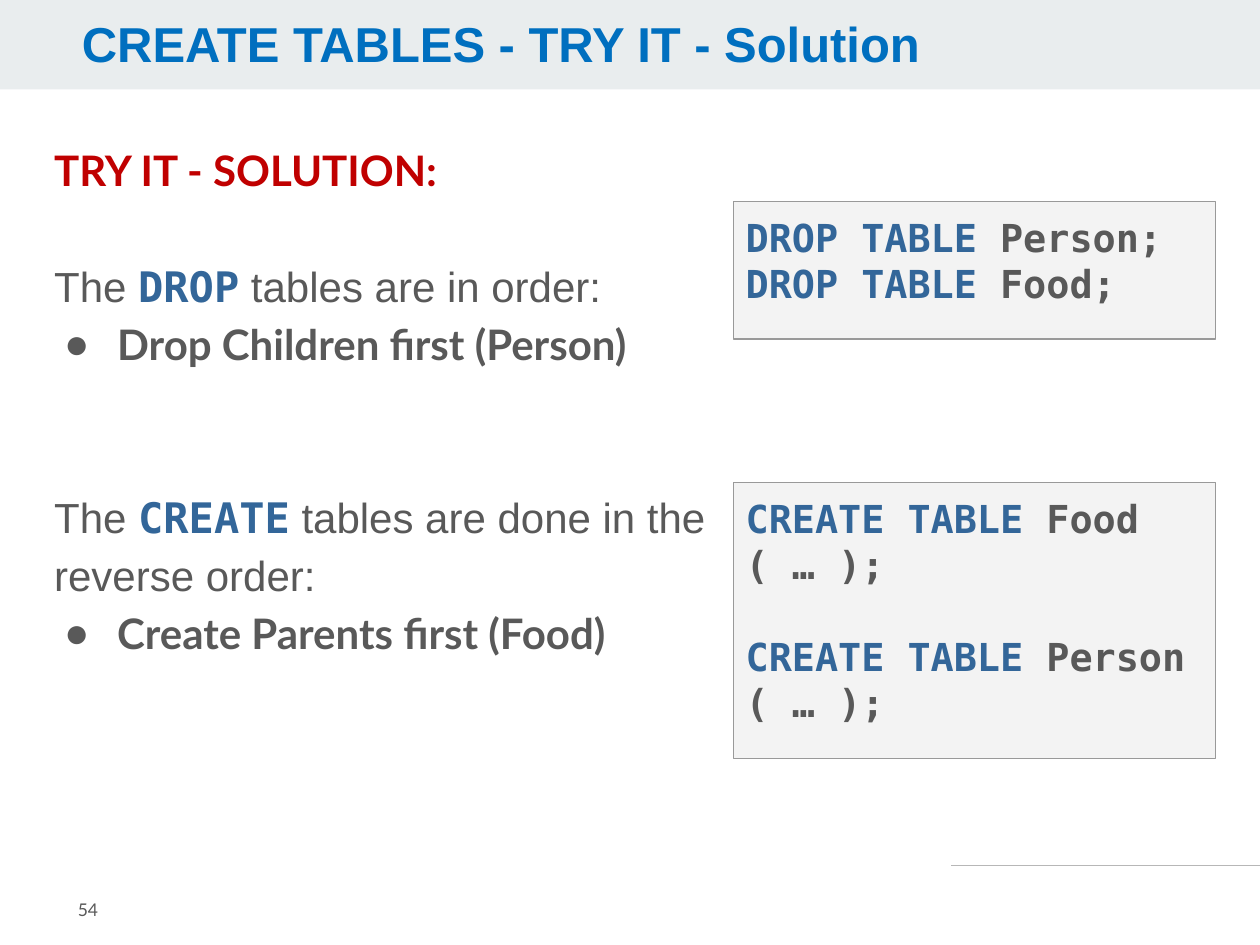
from dataclasses import dataclass

from lxml.etree import SubElement
from pptx import Presentation
from pptx.dml.color import RGBColor
from pptx.enum.shapes import MSO_CONNECTOR, MSO_SHAPE
from pptx.enum.text import MSO_ANCHOR, MSO_AUTO_SIZE, PP_ALIGN
from pptx.oxml.ns import qn
from pptx.shapes.autoshape import Shape
from pptx.slide import Slide
from pptx.text.text import Font, TextFrame, _Paragraph as Paragraph
from pptx.util import Inches, Pt

TITLE_BLUE = RGBColor(0x00, 0x6F, 0xBF)
KEYWORD_BLUE = RGBColor(0x33, 0x66, 0x99)
RED = RGBColor(0xC0, 0x00, 0x00)
GRAY = RGBColor(0x59, 0x59, 0x59)
BAND_GRAY = RGBColor(0xE9, 0xED, 0xEE)
RULE_GRAY = RGBColor(0xB7, 0xB7, 0xB7)
CODE_FILL = RGBColor(0xF3, 0xF3, 0xF3)
CODE_BORDER = RGBColor(0x99, 0x99, 0x99)

SANS, HEADING, MONO = "Arial", "Lato", "DejaVu Sans Mono"
BODY_LINE, CODE_LINE = 33, 26


@dataclass(frozen=True)
class Style:
    name: str
    size: float
    color: RGBColor
    bold: bool = True


TITLE = Style(SANS, 28, TITLE_BLUE)
SECTION = Style(HEADING, 24, RED)
PLAIN = Style(SANS, 24, GRAY, False)
KEYWORD = Style(MONO, 24, KEYWORD_BLUE)
POINT = Style(HEADING, 24, GRAY)
CODE = Style(MONO, 22, GRAY)
CODE_KEYWORD = Style(MONO, 22, KEYWORD_BLUE)
NUMBER = Style(HEADING, 10, GRAY, False)


@dataclass(frozen=True)
class Line:
    runs: tuple[tuple[str, Style], ...]
    gap: float = 0
    bullet: bool = False


@dataclass(frozen=True)
class CodeBox:
    top: float
    height: float
    lines: tuple[Line, ...]


def statement(keyword: str, rest: str, gap: float = 0) -> Line:
    return Line(((keyword, CODE_KEYWORD), (rest, CODE)), gap)


def sentence(keyword: str, rest: str, gap: float) -> Line:
    return Line((("The ", PLAIN), (keyword, KEYWORD), (rest, PLAIN)), gap)


COLUMNS = Line((("( … );", CODE),))
BODY_LINES = (
    Line((("TRY IT - SOLUTION:", SECTION),)),
    sentence("DROP", " tables are in order:", BODY_LINE),
    Line((("Drop Children first (Person)", POINT),), bullet=True),
    sentence("CREATE", " tables are done in the reverse order:", 2 * BODY_LINE),
    Line((("Create Parents first (Food)", POINT),), bullet=True),
)
CODE_BOXES = (
    CodeBox(1.6, 1.09, (
        statement("DROP TABLE", " Person;"),
        statement("DROP TABLE", " Food;"),
    )),
    CodeBox(3.83, 2.19, (
        statement("CREATE TABLE", " Food"),
        COLUMNS,
        statement("CREATE TABLE", " Person", CODE_LINE),
        COLUMNS,
    )),
)


def apply_style(font: Font, style: Style) -> None:
    font.name = style.name
    font.size = Pt(style.size)
    font.bold = style.bold
    font.color.rgb = style.color


def set_bullet(paragraph: Paragraph, bullet: bool) -> None:
    properties = paragraph._p.get_or_add_pPr()
    properties.set("marL", str(Inches(0.5 if bullet else 0)))
    properties.set("indent", str(Inches(-0.42 if bullet else 0)))
    if bullet:
        color = SubElement(properties, qn("a:buClr"))
        SubElement(color, qn("a:srgbClr")).set("val", str(GRAY))
        SubElement(properties, qn("a:buChar")).set("char", "●")
    else:
        SubElement(properties, qn("a:buNone"))


def write_lines(frame: TextFrame, lines: tuple[Line, ...], spacing: float = 1) -> None:
    for index, line in enumerate(lines):
        paragraph = frame.add_paragraph() if index else frame.paragraphs[0]
        set_bullet(paragraph, line.bullet)
        paragraph.alignment = PP_ALIGN.LEFT
        paragraph.line_spacing = spacing
        paragraph.space_before = Pt(line.gap)
        for text, style in line.runs:
            run = paragraph.add_run()
            run.text = text
            if len(line.runs) > 1:
                apply_style(run.font, style)
        if len(line.runs) == 1:
            apply_style(paragraph.font, line.runs[0][1])


def set_frame(frame: TextFrame, inset: float, anchor: MSO_ANCHOR = MSO_ANCHOR.TOP) -> None:
    frame.word_wrap = True
    frame.auto_size = MSO_AUTO_SIZE.NONE
    frame.vertical_anchor = anchor
    frame.margin_left = frame.margin_right = Inches(0.1)
    frame.margin_top = frame.margin_bottom = Inches(inset)


def place(shape: Shape, left: float, top: float, width: float, height: float) -> None:
    shape.left, shape.top = Inches(left), Inches(top)
    shape.width, shape.height = Inches(width), Inches(height)


def add_rectangle(slide: Slide, left: float, top: float, width: float, height: float,
                  fill: RGBColor) -> Shape:
    shape = slide.shapes.add_shape(
        MSO_SHAPE.RECTANGLE, Inches(left), Inches(top), Inches(width), Inches(height))
    shape.shadow.inherit = False
    shape.fill.solid()
    shape.fill.fore_color.rgb = fill
    shape.line.fill.background()
    return shape


def add_code_box(slide: Slide, box: CodeBox) -> None:
    shape = add_rectangle(slide, 5.82, box.top, 3.83, box.height, CODE_FILL)
    shape.line.color.rgb = CODE_BORDER
    shape.line.width = Pt(0.75)
    set_frame(shape.text_frame, 0.1)
    write_lines(shape.text_frame, box.lines)


def add_footer(slide: Slide) -> None:
    rule = slide.shapes.add_connector(
        MSO_CONNECTOR.STRAIGHT, Inches(7.55), Inches(6.87), Inches(10), Inches(6.87))
    rule.line.color.rgb = RULE_GRAY
    rule.line.width = Pt(0.75)
    SubElement(rule._element.spPr, qn("a:effectLst"))
    number = slide.shapes.add_textbox(Inches(0.52), Inches(6.93), Inches(1.23), Inches(0.57))
    set_frame(number.text_frame, 0.1, MSO_ANCHOR.MIDDLE)
    write_lines(number.text_frame, (Line((("54", NUMBER),)),))


def main() -> None:
    presentation = Presentation()
    presentation.slide_width, presentation.slide_height = Inches(10), Inches(7.5)
    slide = presentation.slides.add_slide(presentation.slide_layouts[1])
    title, body = slide.shapes.title, slide.placeholders[1]

    band = add_rectangle(slide, 0, 0, 10, 0.71, BAND_GRAY)
    title._element.addprevious(band._element)

    place(title, 0.55, 0.11, 7.88, 0.55)
    set_frame(title.text_frame, 0.05)
    write_lines(title.text_frame, (Line((("CREATE TABLES - TRY IT - Solution", TITLE),)),), 0.9)

    place(body, 0.33, 1.04, 5.39, 4.98)
    set_frame(body.text_frame, 0.05)
    write_lines(body.text_frame, BODY_LINES, 1.15)

    add_footer(slide)
    for box in CODE_BOXES:
        add_code_box(slide, box)
    presentation.save("out.pptx")


if __name__ == "__main__":
    main()
